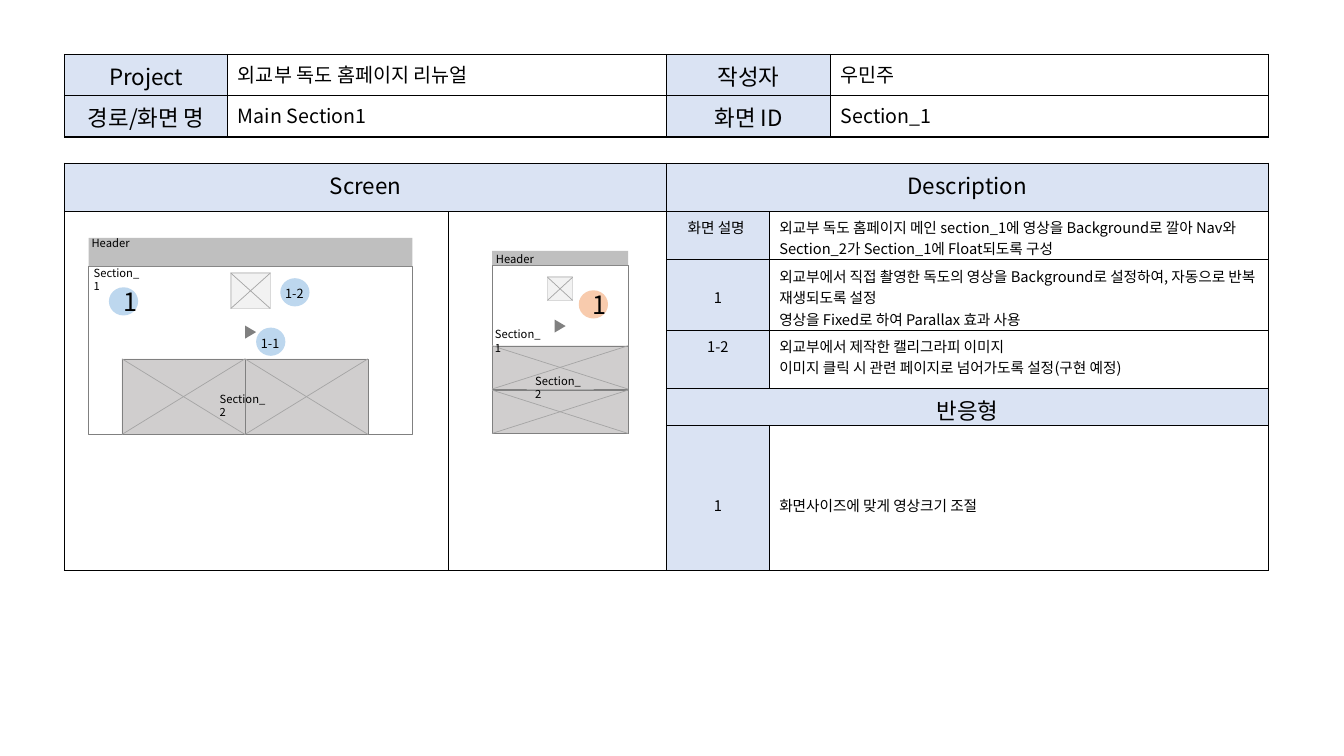
from lxml import etree
from pptx import Presentation
from pptx.dml.color import RGBColor
from pptx.enum.shapes import MSO_CONNECTOR, MSO_SHAPE
from pptx.enum.text import MSO_ANCHOR, PP_ALIGN
from pptx.oxml import parse_xml
from pptx.oxml.ns import nsdecls, qn
from pptx.util import Inches, Pt

RECT, OVAL, TRIANGLE = MSO_SHAPE.RECTANGLE, MSO_SHAPE.OVAL, MSO_SHAPE.ISOSCELES_TRIANGLE
STRAIGHT = MSO_CONNECTOR.STRAIGHT
LEFT, CENTER = PP_ALIGN.LEFT, PP_ALIGN.CENTER
TOP, MIDDLE = MSO_ANCHOR.TOP, MSO_ANCHOR.MIDDLE
FONT = "Noto Sans CJK KR"
COLORS = {
    "black": "000000", "label": "DAE3F3", "frame": "808080", "header": "BFBFBF",
    "panel": "D0CECE", "image": "F2F2F2", "image_line": "D9D9D9",
    "cross": "A5A5A5", "blue": "BDD7EE", "orange": "F8CBAD",
}


def color(name):
    """Return the named colour as RGBColor."""
    return RGBColor.from_string(COLORS[name])


def write(tf, text, size=10.5, align=LEFT):
    """Write text into a frame, one paragraph a line."""
    for i, line in enumerate(text.split("\n")):
        p = tf.paragraphs[0] if i == 0 else tf.add_paragraph()
        p.alignment = align
        r = p.add_run()
        r.text = line
        r.font.size = Pt(size)
        r.font.name = FONT
        r.font.color.rgb = color("black")
        rPr = r.font._element
        etree.SubElement(rPr, qn("a:ea")).set("typeface", FONT)


def add_box(shapes, kind, x, y, w, h, fill=None, line=None, width=0.5):
    """Add a preset shape with an optional fill and line."""
    s = shapes.add_shape(kind, Inches(x), Inches(y), Inches(w), Inches(h))
    s.shadow.inherit = False
    if fill:
        s.fill.solid()
        s.fill.fore_color.rgb = color(fill)
    else:
        s.fill.background()
    if line:
        s.line.color.rgb = color(line)
        s.line.width = Pt(width)
    else:
        s.line.fill.background()
    return s


def add_label(shapes, text, x, y, w=0.68, h=0.24, size=8):
    """Add a small wrapping text box."""
    s = shapes.add_textbox(Inches(x), Inches(y), Inches(w), Inches(h))
    s.text_frame.word_wrap = True
    write(s.text_frame, text, size=size)


def add_cross(shapes, x, y, w, h):
    """Draw both diagonals of a rectangle."""
    for y1, y2 in ((y, y + h), (y + h, y)):
        c = shapes.add_connector(STRAIGHT, Inches(x), Inches(y1), Inches(x + w), Inches(y2))
        c.line.color.rgb = color("cross")
        c.line.width = Pt(0.5)
        etree.SubElement(c._element.spPr, qn("a:effectLst"))


def add_image_box(shapes, x, y, w, h):
    """Add a grouped, crossed image placeholder."""
    group = shapes.add_group_shape().shapes
    add_box(group, RECT, x, y, w, h, "image", "image_line", 1)
    add_cross(group, x, y, w, h)


def add_play(shapes, x, y):
    """Add a play triangle pointing right."""
    add_box(shapes, TRIANGLE, x, y, 0.13, 0.11, "frame").rotation = 90


def add_number(shapes, text, x, y, fill):
    """Add a circle holding a large number."""
    s = add_box(shapes, OVAL, x, y, 0.29, 0.28, fill)
    s.text_frame.vertical_anchor = MIDDLE
    write(s.text_frame, text, size=18, align=CENTER)


def add_sub_number(shapes, text, x, y):
    """Add a grouped circle and label for a sub-item."""
    group = shapes.add_group_shape().shapes
    add_box(group, OVAL, x, y, 0.29, 0.28, "blue")
    add_label(group, text, x - 0.05, y + 0.03, w=0.42, h=0.25, size=9)


def add_grid(shapes, x, y, cols, rows):
    """Add a plain table with thin black borders."""
    frame = shapes.add_table(len(rows), len(cols), Inches(x), Inches(y),
                             Inches(sum(cols)), Inches(sum(rows)))
    table = frame.table
    table.first_row = table.horz_banding = False
    for col, w in zip(table.columns, cols):
        col.width = Inches(w)
    for row, h in zip(table.rows, rows):
        row.height = Inches(h)
    for cell in table.iter_cells():
        cell.fill.background()
        cell.margin_bottom = 0
        tcPr = cell._tc.get_or_add_tcPr()
        for i, side in enumerate("LRTB"):
            tcPr.insert(i, parse_xml(
                f'<a:ln{side} {nsdecls("a")} w="12700"><a:solidFill>'
                f'<a:srgbClr val="{COLORS["black"]}"/></a:solidFill></a:ln{side}>'))
    return table


def fill_cell(cell, text, label=False, size=10.5, anchor=TOP, top=0.05):
    """Write a cell; label cells are centred on blue."""
    cell.vertical_anchor = anchor
    cell.margin_top = Inches(top)
    if label:
        cell.fill.solid()
        cell.fill.fore_color.rgb = color("label")
    write(cell.text_frame, text, size=size, align=CENTER if label else LEFT)


def add_info_table(shapes):
    """Add the project information table."""
    table = add_grid(shapes, 0.64, 0.54, [1.62, 4.35, 1.63, 4.34], [0.41, 0.41])
    rows = [("Project", "외교부 독도 홈페이지 리뉴얼", "작성자", "우민주"),
            ("경로/화면 명", "Main Section1 ", "화면 ID", "Section_1")]
    for i, row in enumerate(rows):
        for j, text in enumerate(row):
            label = j % 2 == 0
            fill_cell(table.cell(i, j), text, label=label, size=16 if label else 14)


def add_screen_table(shapes):
    """Add the screen and description table."""
    table = add_grid(shapes, 0.64, 1.62, [3.81, 2.16, 1.02, 4.95],
                     [0.48, 0.44, 0.71, 0.57, 0.36, 1.44])
    for col in (0, 1):
        table.cell(1, col).merge(table.cell(5, col))
    for row, col, text in ((0, 0, "Screen"), (0, 2, "Description"), (4, 2, "반응형")):
        cell = table.cell(row, col)
        cell.merge(table.cell(row, col + 1))
        fill_cell(cell, text, label=True, size=16)
    items = [
        (1, "화면 설명 ", "외교부 독도 홈페이지 메인 section_1에 영상을 Background로 깔아 "
         "Nav와 Section_2가 Section_1에 Float되도록 구성", TOP, 0.05),
        (2, "1", "외교부에서 직접 촬영한 독도의 영상을 Background로 설정하여, 자동으로 "
         "반복 재생되도록 설정\n영상을 Fixed로 하여 Parallax 효과 사용", MIDDLE, 0.05),
        (3, "1-2", "외교부에서 제작한 캘리그라피 이미지\n"
         "이미지 클릭 시 관련 페이지로 넘어가도록 설정(구현 예정)", TOP, 0.05),
        (5, "1", "화면사이즈에 맞게 영상크기 조절", MIDDLE, 0.15),
    ]
    for row, number, text, anchor, top in items:
        fill_cell(table.cell(row, 2), number, label=True, anchor=anchor, top=top)
        fill_cell(table.cell(row, 3), text, anchor=anchor, top=top)


def add_wireframe(shapes, x, y, w, header, panels, image, play):
    """Add a screen frame with its header, image, play mark and panels."""
    add_box(shapes, RECT, x, y, w, 1.67, line="frame")
    add_play(shapes, *play)
    add_image_box(shapes, *image)
    add_box(shapes, RECT, x, y - header, w, header, "header")
    for panel in panels:
        add_box(shapes, RECT, *panel, "panel", "frame", 0.25)
        add_cross(shapes, *panel)


def main():
    """Build the slide and save it."""
    prs = Presentation()
    prs.slide_width, prs.slide_height = Inches(13.33), Inches(7.5)
    shapes = prs.slides.add_slide(prs.slide_layouts[6]).shapes
    add_info_table(shapes)
    add_screen_table(shapes)
    add_wireframe(shapes, 0.88, 2.64, 3.21, 0.28,
                  [(1.21 + i * 1.22, 3.56, 1.22, 0.75) for i in range(2)],
                  (2.29, 2.71, 0.39, 0.35), (2.42, 3.24))
    add_wireframe(shapes, 4.88, 2.63, 1.35, 0.14,
                  [(4.88, 3.43 + i * 0.44, 1.35, 0.43) for i in range(2)],
                  (5.43, 2.75, 0.25, 0.23), (5.49, 3.18))
    for text, x, y in (("Header", 0.81, 2.3), ("Section_1", 0.83, 2.59),
                       ("Section_2", 2.08, 3.84), ("Header", 4.82, 2.45),
                       ("Section_1", 4.81, 3.2), ("Section_2", 5.21, 3.66)):
        add_label(shapes, text, x, y)
    add_number(shapes, "1", 1.08, 2.85, "blue")
    add_number(shapes, "1", 5.74, 2.88, "orange")
    add_sub_number(shapes, "1-2", 2.78, 2.76)
    add_sub_number(shapes, "1-1", 2.54, 3.25)
    prs.save("out.pptx")


main()
